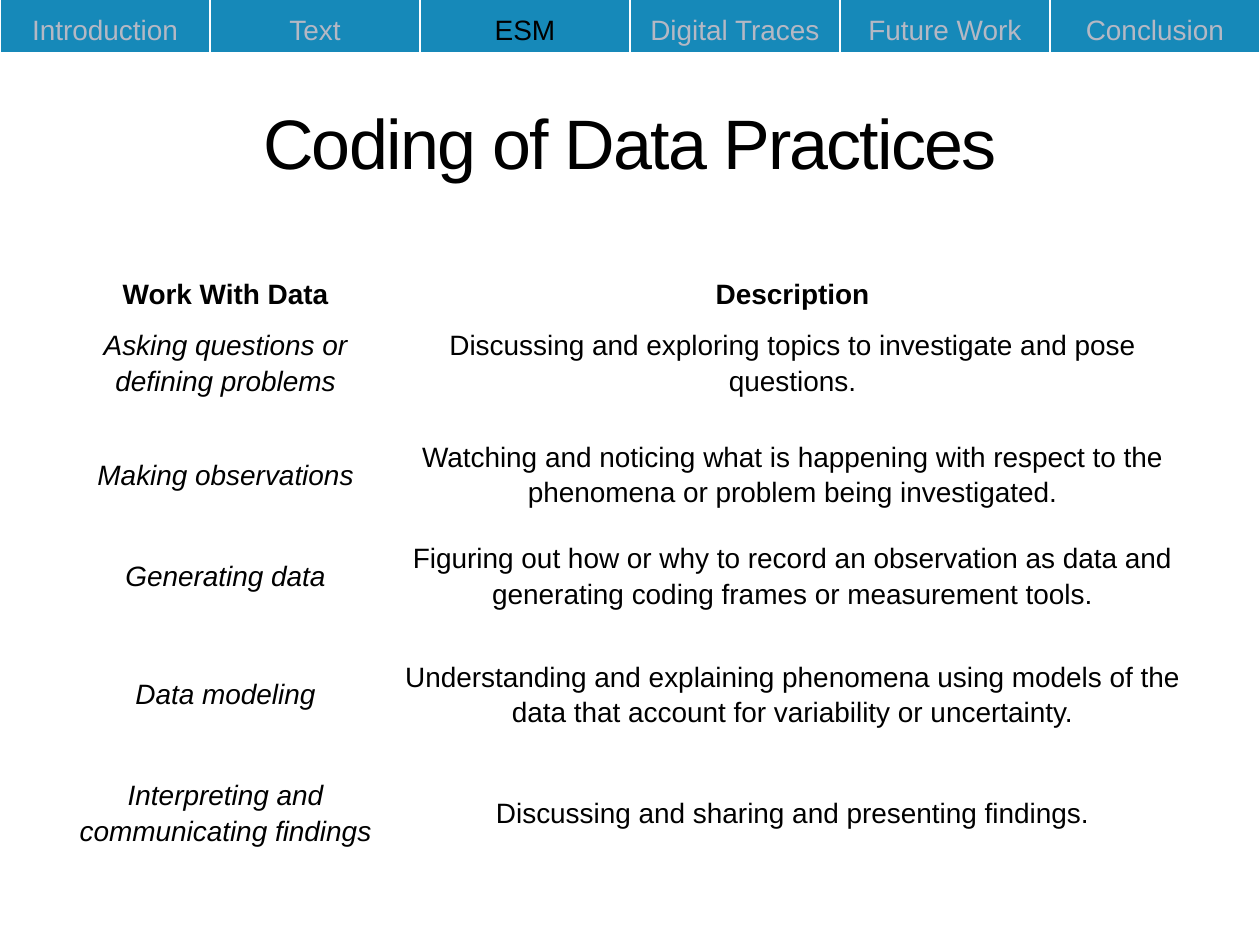
import lxml.etree
import pptx
import pptx.dml.color
import pptx.enum.shapes
import pptx.enum.text
import pptx.oxml.ns
import pptx.util

Inches = pptx.util.Inches
ALIGN = pptx.enum.text.PP_ALIGN
ANCHOR = pptx.enum.text.MSO_ANCHOR

SECTIONS = ["Introduction", "Text", "ESM", "Digital Traces", "Future Work", "Conclusion"]
CURRENT_SECTION = "ESM"
TITLE = "Coding of Data Practices"
HEADINGS = ("Work With Data", "Description")
PRACTICES = [
    ("Asking questions or defining problems",
     "Discussing and exploring topics to investigate and pose questions."),
    ("Making observations",
     "Watching and noticing what is happening with respect to the phenomena or problem being investigated."),
    ("Generating data",
     "Figuring out how or why to record an observation as data and generating coding frames or measurement tools."),
    ("Data modeling",
     "Understanding and explaining phenomena using models of the data that account for variability or uncertainty."),
    ("Interpreting and communicating findings",
     "Discussing and sharing and presenting findings."),
]
PRACTICE_COLUMNS = [2.58, 6.42]
PRACTICE_ROWS = [0.35, 0.74, 1.03, 0.58, 1.3, 0.58]

THEME = {
    "font": "Arial",
    "title_size": 40,
    "text_size": 16,
    "text": "000000",
    "muted": "B5B8C4",
    "bar": "1689B9",
    "border": "FFFFFF",
}


def rgb(name):
    return pptx.dml.color.RGBColor.from_string(THEME[name])


def apply(target, formats):
    for name, value in formats.items():
        setattr(target, name, value)


def write(frame, words, size="text_size", color="text", spacing=1.0, **styles):
    paragraph = frame.paragraphs[0]
    apply(paragraph, {"alignment": ALIGN.CENTER, "line_spacing": spacing})
    run = paragraph.add_run()
    run.text = words
    apply(run.font, {"name": THEME["font"], "size": pptx.util.Pt(THEME[size]), **styles})
    run.font.color.rgb = rgb(color)
    return run


def add_grid(slide, left, top, columns, rows):
    table = slide.shapes.add_table(
        len(rows), len(columns), Inches(left), Inches(top),
        Inches(sum(columns)), Inches(sum(rows))).table
    apply(table, {"first_row": False, "horz_banding": False})
    for column, width in zip(table.columns, columns):
        column.width = Inches(width)
    for row, height in zip(table.rows, rows):
        row.height = Inches(height)
    return table


def add_borders(cell):
    properties = cell._tc.get_or_add_tcPr()
    qn = pptx.oxml.ns.qn
    for side in ("a:lnL", "a:lnR", "a:lnT", "a:lnB"):
        line = lxml.etree.SubElement(properties, qn(side), w=str(pptx.util.Pt(1)))
        fill = lxml.etree.SubElement(line, qn("a:solidFill"))
        lxml.etree.SubElement(fill, qn("a:srgbClr"), val=THEME["border"])


def add_title(slide):
    title = slide.shapes.title
    apply(title, {"left": Inches(0.5), "top": Inches(0.58),
                  "width": Inches(9), "height": Inches(1.08)})
    title.text_frame.vertical_anchor = ANCHOR.MIDDLE
    run = write(title.text_frame, TITLE, size="title_size")
    run._r.get_or_add_rPr().set("spc", "-100")


def add_practices(slide):
    table = add_grid(slide, 0.5, 2.15, PRACTICE_COLUMNS, PRACTICE_ROWS)
    for row, texts in enumerate([HEADINGS] + PRACTICES):
        for column, words in enumerate(texts):
            cell = table.cell(row, column)
            apply(cell, {"vertical_anchor": ANCHOR.MIDDLE,
                         "margin_left": Inches(0.07), "margin_right": Inches(0.07),
                         "margin_top": 0, "margin_bottom": 0})
            add_borders(cell)
            cell.fill.background()
            write(cell.text_frame, words, spacing=1.15,
                  bold=row == 0, italic=row > 0 and column == 0)


def add_navigation(slide):
    bar = slide.shapes.add_shape(
        pptx.enum.shapes.MSO_SHAPE.RECTANGLE, 0, 0, Inches(10), Inches(0.4))
    bar.shadow.inherit = False
    bar.fill.solid()
    bar.fill.fore_color.rgb = rgb("bar")
    bar.line.fill.background()

    count = len(SECTIONS)
    table = add_grid(slide, 0, -0.03, [10 / count] * count, [0.45])
    for column, section in enumerate(SECTIONS):
        cell = table.cell(0, column)
        cell.vertical_anchor = ANCHOR.BOTTOM
        cell.fill.solid()
        cell.fill.fore_color.rgb = rgb("bar")
        write(cell.text_frame, section, bold=False,
              color="text" if section == CURRENT_SECTION else "muted")


def main():
    deck = pptx.Presentation()
    apply(deck, {"slide_width": Inches(10), "slide_height": Inches(7.5)})
    slide = deck.slides.add_slide(deck.slide_layouts[5])
    add_title(slide)
    add_practices(slide)
    add_navigation(slide)
    deck.save("out.pptx")


if __name__ == "__main__":
    main()
